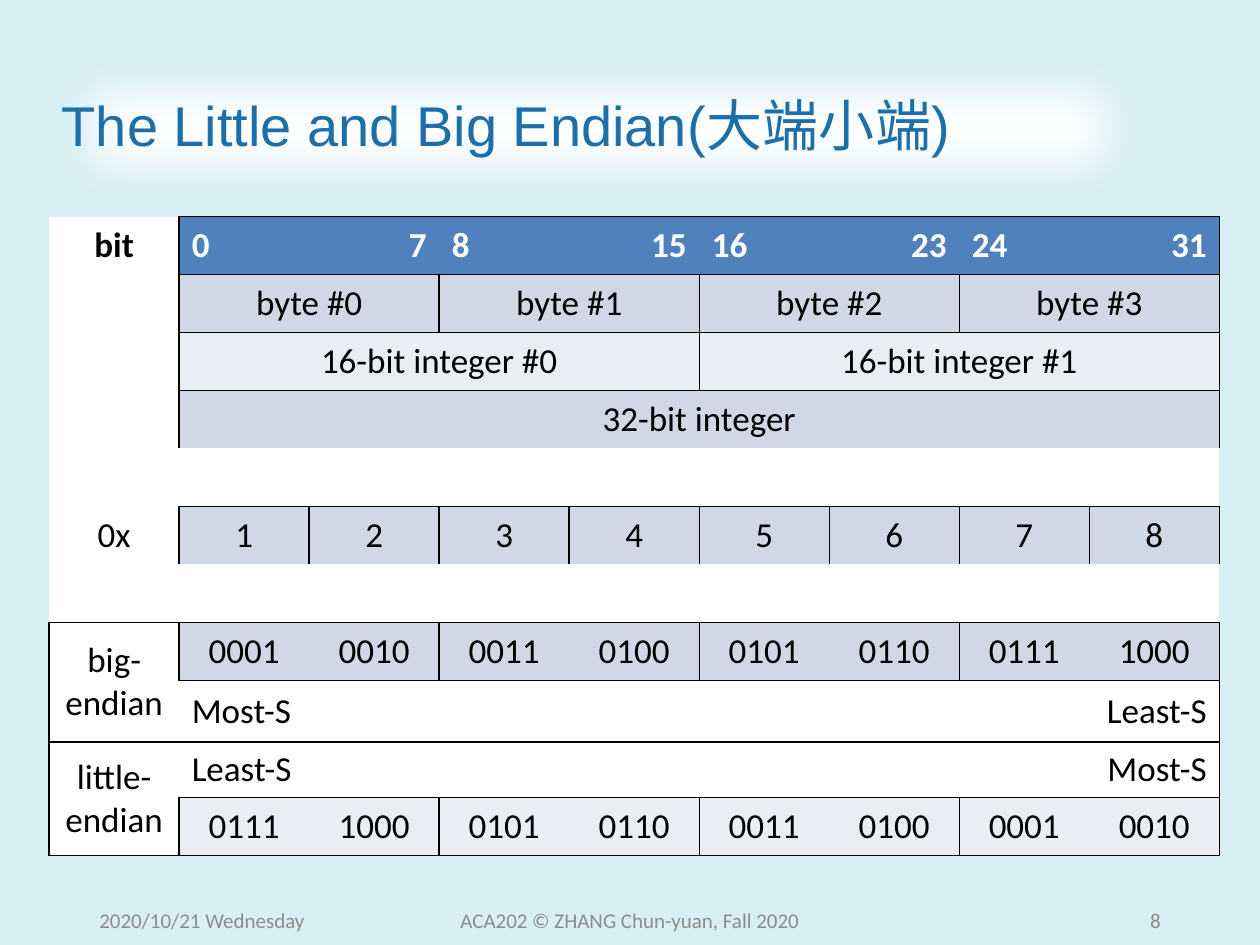
from lxml.etree import SubElement
from pptx import Presentation
from pptx.dml.color import RGBColor
from pptx.enum.text import MSO_ANCHOR, PP_ALIGN as Align
from pptx.oxml.ns import qn
from pptx.util import Inches, Pt

SKY = RGBColor(0xD7, 0xEF, 0xF5)
WHITE = RGBColor(0xFF, 0xFF, 0xFF)
BLACK = RGBColor(0, 0, 0)
TITLE_BLUE = RGBColor(0x1D, 0x6F, 0xA9)
HEADER_BLUE = RGBColor(0x4F, 0x81, 0xBD)
BAND_DARK = RGBColor(0xD0, 0xD8, 0xE8)
BAND_LIGHT = RGBColor(0xE9, 0xED, 0xF4)
GRAY = RGBColor(0x8C, 0x8C, 0x8C)

LEFT, CENTER, RIGHT = Align.LEFT, Align.CENTER, Align.RIGHT
BIG_ENDIAN = ["0001", "0010", "0011", "0100", "0101", "0110", "0111", "1000"]
LITTLE_ENDIAN = [nibble for first in (6, 4, 2, 0)
                 for nibble in BIG_ENDIAN[first:first + 2]]
BIT_NUMBERS = ["0", "7", "8", "15", "16", "23", "24", "31"]
BYTE_EDGES = [1, 3, 5, 7, 9]


def centered(texts):
    return [(text, CENTER) for text in texts]


# Each row: fill, cells right of the label column, columns with a vertical rule,
# first column of the rule above the row (None for no rule).
ROWS = [
    (HEADER_BLUE, [(number, (LEFT, RIGHT)[i % 2]) for i, number in enumerate(BIT_NUMBERS)],
     [1, 9], 1),
    (BAND_DARK, centered(f"byte #{i}" for i in range(4)), BYTE_EDGES, 1),
    (BAND_LIGHT, centered(f"16-bit integer #{i}" for i in range(2)), [1, 5, 9], 1),
    (BAND_DARK, centered(["32-bit integer"]), [1, 9], 1),
    (WHITE, [], [], None),
    (BAND_DARK, centered("12345678"), range(1, 10), 1),
    (WHITE, [], [], None),
    (BAND_DARK, centered(BIG_ENDIAN), [0] + BYTE_EDGES, 0),
    (WHITE, [("Most-S", LEFT), ("Least-S", RIGHT)], [0, 9], 1),
    (WHITE, [("Least-S", LEFT), ("Most-S", RIGHT)], [0, 9], 0),
    (BAND_LIGHT, centered(LITTLE_ENDIAN), [0] + BYTE_EDGES, 1),
]
ROW_HEIGHTS = [0.46] * 8 + [0.49, 0.42, 0.46]
# Row of each label: text and number of rows it covers
LABELS = {0: ("bit", 1), 5: ("0x", 1), 7: ("big-endian", 2), 9: ("little-endian", 2)}
COLUMNS = 9


class EndianSlide:
    font = "Calibri"

    def __init__(self, prs):
        self.slide = prs.slides.add_slide(prs.slide_layouts[5])
        background = self.slide.background.fill
        background.solid()
        background.fore_color.rgb = SKY

    def set_text(self, frame, text, size, color, align, bold=False, font=None):
        frame.word_wrap = True
        paragraph = frame.paragraphs[0]
        paragraph.text = text
        paragraph.alignment = align
        paragraph.font.name = font or self.font
        paragraph.font.size = Pt(size)
        paragraph.font.bold = bold
        paragraph.font.color.rgb = color
        return paragraph

    def title(self, text, left, top, width, height):
        title = self.slide.shapes.title
        title.left, title.top = Inches(left), Inches(top)
        title.width, title.height = Inches(width), Inches(height)
        title.fill.solid()
        title.fill.fore_color.rgb = WHITE
        effects = SubElement(title._element.spPr, qn("a:effectLst"))
        SubElement(effects, qn("a:softEdge"), rad=str(Pt(25)))
        title.text_frame.vertical_anchor = MSO_ANCHOR.MIDDLE
        heading = self.set_text(title.text_frame, text, 32, TITLE_BLUE, LEFT, font="Arial")
        heading.line_spacing = 0.9

    def footer(self, text, left, width, align):
        box = self.slide.shapes.add_textbox(Inches(left), Inches(7.1), Inches(width), Inches(0.4))
        box.text_frame.vertical_anchor = MSO_ANCHOR.MIDDLE
        self.set_text(box.text_frame, text, 12, GRAY, align)

    def cell(self, cell, text, align, color=BLACK, bold=False):
        cell.vertical_anchor = MSO_ANCHOR.MIDDLE
        self.set_text(cell.text_frame, text, 20, color, align, bold)

    def table(self, left, top, width):
        frame = self.slide.shapes.add_table(len(ROWS), COLUMNS, Inches(left), Inches(top),
                                            Inches(width), Inches(sum(ROW_HEIGHTS)))
        table = frame.table
        table.first_row = table.horz_banding = False
        for row, height in zip(table.rows, ROW_HEIGHTS):
            row.height = Inches(height)

        for r, (_, cells, _, _) in enumerate(ROWS):
            if not cells:
                table.cell(r, 0).merge(table.cell(r, COLUMNS - 1))
                continue
            span = (COLUMNS - 1) // len(cells)
            for i, (text, align) in enumerate(cells):
                column = 1 + i * span
                if span > 1:
                    table.cell(r, column).merge(table.cell(r, column + span - 1))
                self.cell(table.cell(r, column), text, align,
                          WHITE if r == 0 else BLACK, bold=r == 0)
        for r, (text, span) in LABELS.items():
            if span > 1:
                table.cell(r, 0).merge(table.cell(r + span - 1, 0))
            self.cell(table.cell(r, 0), text, CENTER, bold=r == 0)
        self.rule_and_fill(table)

    def rule_and_fill(self, table):
        vertical = {(r, c) for r, row in enumerate(ROWS) for c in row[2]}
        horizontal = {(r, c) for r, row in enumerate(ROWS) if row[3] is not None
                      for c in range(row[3], COLUMNS)}
        horizontal |= {(len(ROWS), c) for c in range(COLUMNS)}
        for r, row in enumerate(ROWS):
            for c in range(COLUMNS):
                cell = table.cell(r, c)
                tall, wide = ((cell.span_height, cell.span_width)
                              if cell.is_merge_origin else (1, 1))
                self.borders(cell, {
                    "L": (r, c) in vertical,
                    "R": (r, c + wide) in vertical,
                    "T": (r, c) in horizontal,
                    "B": (r + tall, c) in horizontal,
                })
                cell.fill.solid()
                cell.fill.fore_color.rgb = row[0] if c else WHITE

    def borders(self, cell, sides):
        properties = cell._tc.get_or_add_tcPr()
        for side, drawn in sides.items():
            line = SubElement(properties, qn(f"a:ln{side}"), w=str(Pt(1)))
            if drawn:
                fill = SubElement(line, qn("a:solidFill"))
                SubElement(fill, qn("a:srgbClr"), val=str(BLACK))
            else:
                SubElement(line, qn("a:noFill"))


def main():
    prs = Presentation()
    prs.slide_width, prs.slide_height = Inches(10), Inches(7.5)
    page = EndianSlide(prs)
    page.title("The Little and Big Endian(大端小端)", 0.39, 0.4, 8.69, 1.23)
    page.table(0.39, 1.72, 9.29)
    page.footer("2020/10/21 Wednesday", 0.69, 2.25, LEFT)
    page.footer("ACA202 © ZHANG Chun-yuan, Fall 2020", 3.31, 3.38, CENTER)
    page.footer("8", 7.06, 2.25, RIGHT)
    prs.save("out.pptx")


if __name__ == "__main__":
    main()
